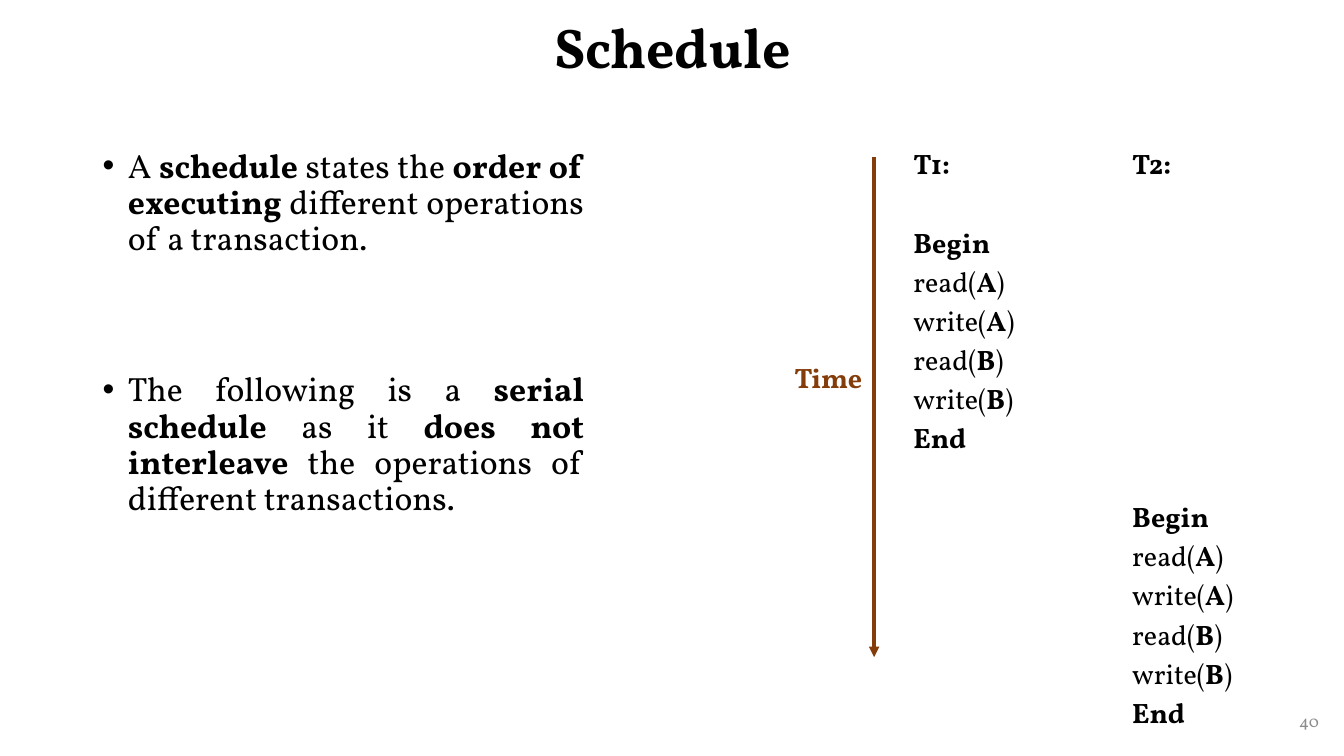
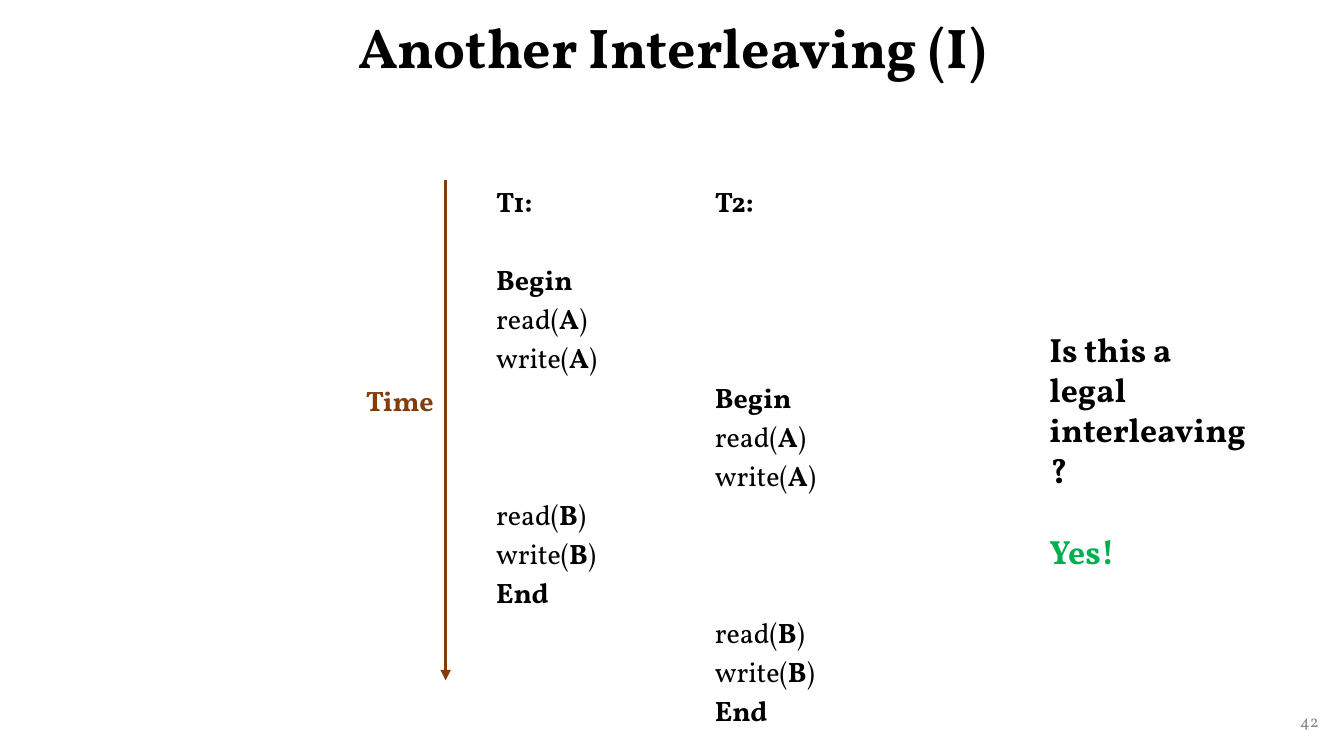
from dataclasses import dataclass

from lxml import etree
from pptx import Presentation
from pptx import util as u
from pptx.dml import color
from pptx.enum import shapes, text
from pptx.oxml import ns

FONT = "Vollkorn"
HUES = {"ink": "000000", "time": "843C0B", "page": "8C8C8C", "yes": "00B050"}
OPS = ("*Begin*", "read(*A*)", "write(*A*)", "read(*B*)", "write(*B*)", "*End*")
PITCH = 28


@dataclass(frozen=True)
class Para:
    words: str
    size: float
    hue: str = "ink"
    align: text.PP_ALIGN = text.PP_ALIGN.LEFT
    before: float = 0
    lines: float = 1.0
    bullet: bool = False


@dataclass(frozen=True)
class Box:
    left: float
    top: float
    width: float
    height: float
    paras: tuple[Para, ...]
    anchor: text.MSO_ANCHOR = text.MSO_ANCHOR.TOP


@dataclass(frozen=True)
class Plan:
    left: float
    top: float
    height: float
    rows: tuple[tuple[int, ...], ...]


@dataclass(frozen=True)
class Page:
    title: str
    number: str
    plan: Plan
    axis: tuple[float, float]
    note: Box


def paint(hue: str) -> color.RGBColor:
    return color.RGBColor.from_string(HUES[hue])


def write(frame, paras: tuple[Para, ...]) -> None:
    frame.word_wrap = True
    for i, para in enumerate(paras):
        line = frame.paragraphs[0] if i == 0 else frame.add_paragraph()
        line.alignment = para.align
        line.line_spacing = para.lines
        line.space_before = u.Pt(para.before)
        if para.bullet:
            props = line._p.get_or_add_pPr()
            props.set("marL", str(u.Inches(0.25)))
            props.set("indent", str(u.Inches(-0.25)))
            face = etree.SubElement(props, ns.qn("a:buFont"))
            face.set("typeface", "Arial")
            etree.SubElement(props, ns.qn("a:buChar")).set("char", "•")
        for j, part in enumerate(para.words.split("*")):
            if part:
                run = line.add_run()
                run.text = part
                run.font.name = FONT
                run.font.size = u.Pt(para.size)
                run.font.bold = j % 2 == 1
                run.font.color.rgb = paint(para.hue)


def add_box(group, box: Box) -> None:
    shape = group.add_textbox(
        u.Inches(box.left), u.Inches(box.top), u.Inches(box.width), u.Inches(box.height)
    )
    shape.text_frame.vertical_anchor = box.anchor
    write(shape.text_frame, box.paras)


def add_plan(slide, plan: Plan) -> None:
    widths = (2.17, 2.05)
    table = slide.shapes.add_table(
        1, len(widths), u.Inches(plan.left), u.Inches(plan.top),
        u.Inches(sum(widths)), u.Inches(plan.height),
    ).table
    table.first_row = table.horz_banding = False
    for i, (width, rows) in enumerate(zip(widths, plan.rows)):
        table.columns[i].width = u.Inches(width)
        paras = [Para(f"*T{i + 1}:*", 20)]
        last = 0
        for row, step in zip(rows, OPS):
            paras.append(Para(step, 20, before=PITCH * (row - last - 1)))
            last = row
        cell = table.cell(0, i)
        cell.fill.background()
        write(cell.text_frame, tuple(paras))


def add_axis(slide, left: float, top: float) -> None:
    group = slide.shapes.add_group_shape().shapes
    line = group.add_connector(
        shapes.MSO_CONNECTOR.STRAIGHT,
        u.Inches(left), u.Inches(top), u.Inches(left), u.Inches(top + 4.96),
    )
    line.line.color.rgb = paint("time")
    line.line.width = u.Pt(2.5)
    tail = etree.SubElement(line.line._get_or_add_ln(), ns.qn("a:tailEnd"))
    tail.set("type", "triangle")
    etree.SubElement(line._element.spPr, ns.qn("a:effectLst"))
    label = (Para("*Time*", 20, "time"),)
    add_box(group, Box(left - 0.89, top + 1.97, 0.89, 0.44, label))


def add_page(deck, page: Page) -> None:
    slide = deck.slides.add_slide(deck.slide_layouts[6])
    middle = text.MSO_ANCHOR.MIDDLE
    title = Para(f"*{page.title}*", 40, align=text.PP_ALIGN.CENTER, lines=0.9)
    number = Para(page.number, 12, "page", text.PP_ALIGN.RIGHT)
    add_box(slide.shapes, Box(0.92, 0, 11.5, 0.99, (title,), middle))
    add_box(slide.shapes, Box(10.18, 6.95, 3, 0.4, (number,), middle))
    add_plan(slide, page.plan)
    add_axis(slide, *page.axis)
    add_box(slide.shapes, page.note)


def point(words: str, before: float = 0) -> Para:
    return Para(words, 24, "ink", text.PP_ALIGN.JUSTIFY, before, 0.9, True)


PAGES = (
    Page(
        "Schedule", "40",
        Plan(8.96, 1.42, 5.1, ((2, 3, 4, 5, 6, 7), (9, 10, 11, 12, 13, 14))),
        (8.67, 1.56),
        Box(0.92, 1.43, 4.97, 5.61, (
            point("A *schedule* states the *order of executing* different "
                  "operations of a transaction."),
            point("The following is a *serial schedule *as it *does not interleave* "
                  "the operations of different transactions.", 82),
        )),
    ),
    Page(
        "Another Interleaving (I)", "42",
        Plan(4.82, 1.79, 4.77, ((2, 3, 4, 8, 9, 10), (5, 6, 7, 11, 12, 13))),
        (4.42, 1.79),
        Box(10.31, 3.21, 2.23, 1.72, (
            Para("*Is this a legal interleaving?*", 24),
            Para("*Yes!*", 24, "yes", before=29),
        )),
    ),
)


def main() -> None:
    deck = Presentation()
    deck.slide_width = u.Inches(13.33)
    deck.slide_height = u.Inches(7.5)
    for page in PAGES:
        add_page(deck, page)
    deck.save("out.pptx")


if __name__ == "__main__":
    main()
